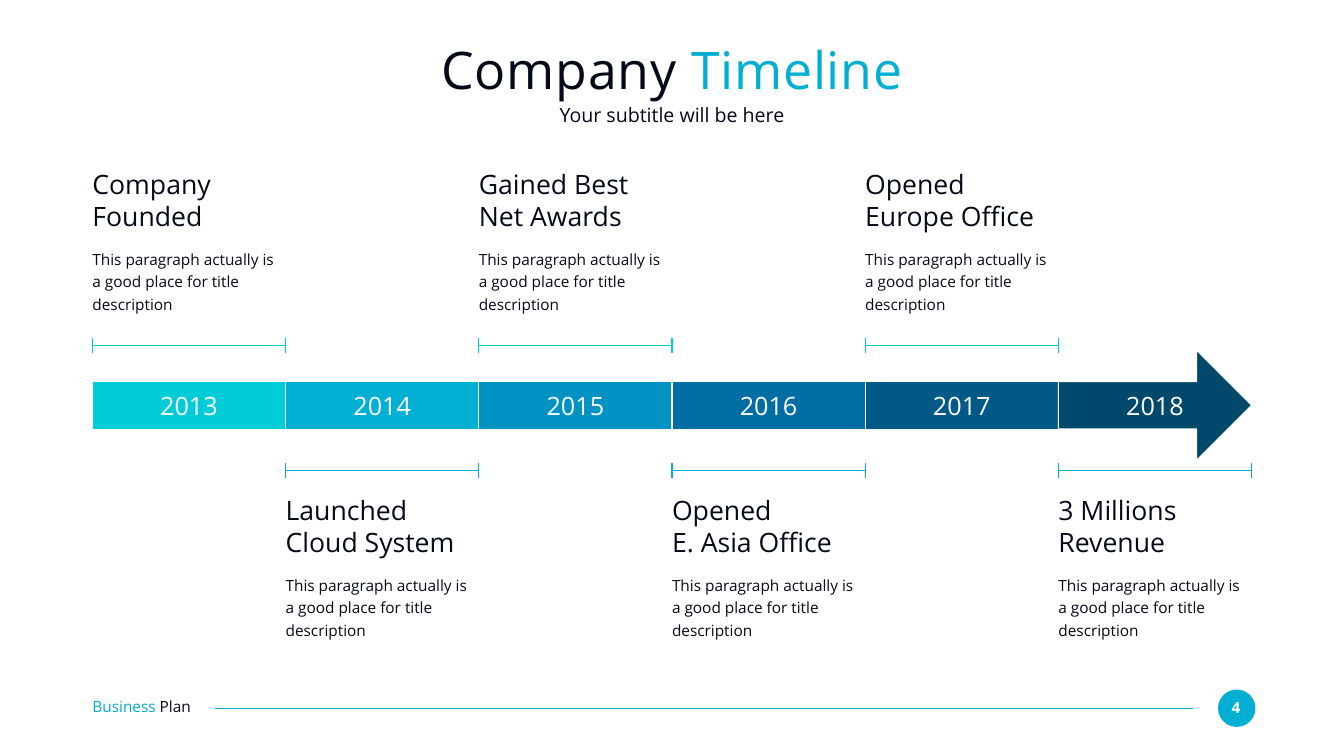
from dataclasses import dataclass

from lxml import etree
from pptx import Presentation
from pptx.dml.color import RGBColor
from pptx.enum import shapes, text
from pptx.oxml import ns
from pptx.util import Pt


@dataclass(frozen=True)
class Theme:
    font: str = "Open Sans"
    ink: str = "050A19"
    accent: str = "00AFD2"
    bright: str = "00CCD7"
    white: str = "FFFFFF"
    years: tuple = ("00CCD7", "00AFD2", "0092C3", "006DA4", "005986", "00486C")
    title: int = 74
    subtitle: int = 28
    heading: int = 38
    year: int = 36
    body: int = 22
    line: float = 1.5


theme = Theme()


def write(box, paragraphs, size, color=theme.ink, align=text.PP_ALIGN.LEFT,
          anchor=text.MSO_ANCHOR.TOP, spacing=None, bold=False):
    frame = box.text_frame
    frame.word_wrap = True
    frame.auto_size = text.MSO_AUTO_SIZE.NONE
    frame.vertical_anchor = anchor
    frame.margin_left = frame.margin_right = frame.margin_top = frame.margin_bottom = 0
    for index, spans in enumerate(paragraphs):
        para = frame.add_paragraph() if index else frame.paragraphs[0]
        para.alignment = align
        para.line_spacing = spacing
        para.font.name = theme.font
        para.font.size = Pt(size)
        para.font.bold = bold
        para.font.color.rgb = RGBColor.from_string(color)
        for words, span_color in spans:
            span = para.add_run()
            span.text = words
            if span_color != color:
                span.font.color.rgb = RGBColor.from_string(span_color)
    return frame


def draw_line(x1, y1, x2, y2, color):
    line = page.shapes.add_connector(
        shapes.MSO_CONNECTOR.STRAIGHT, Pt(x1), Pt(y1), Pt(x2), Pt(y2))
    line.line.color.rgb = RGBColor.from_string(color)
    line.line.width = Pt(theme.line)
    etree.SubElement(line._element.spPr, ns.qn("a:effectLst"))


deck = Presentation()
deck.slide_width, deck.slide_height = Pt(1920), Pt(1080)
page = deck.slides.add_slide(deck.slide_layouts[5])
center, middle = text.PP_ALIGN.CENTER, text.MSO_ANCHOR.MIDDLE
left, step = 132, 276

title = page.shapes.title
title.left, title.top, title.width, title.height = Pt(left), Pt(52.5), Pt(6 * step), Pt(91.5)
frame = write(title, [[("Company ", theme.ink), ("Timeline", theme.accent)]],
              theme.title, align=center, anchor=middle)
for span in frame.paragraphs[0].runs:
    span.font._element.set("spc", "100")

subtitle = page.shapes.add_textbox(Pt(left), Pt(146), Pt(6 * step), Pt(35.5))
write(subtitle, [[("Your subtitle will be here", theme.ink)]],
      theme.subtitle, align=center, anchor=middle)

milestones = [
    ("2013", ["Company Founded"]),
    ("2014", ["Launched Cloud System"]),
    ("2015", ["Gained Best", "Net Awards"]),
    ("2016", ["Opened", "E. Asia Office"]),
    ("2017", ["Opened", "Europe Office"]),
    ("2018", ["3 Millions", "Revenue"]),
]
description = "This paragraph actually is a good place for title description"

for index, (year, heading) in enumerate(milestones):
    x = left + index * step
    if index == len(milestones) - 1:
        band = page.shapes.add_shape(
            shapes.MSO_SHAPE.RIGHT_ARROW, Pt(x), Pt(500.5), Pt(step), Pt(157))
        band.adjustments[0] = 0.43
        band.adjustments[1] = 0.5
    else:
        band = page.shapes.add_shape(
            shapes.MSO_SHAPE.RECTANGLE, Pt(x), Pt(545.5), Pt(step), Pt(68))
    band.shadow.inherit = False
    band.fill.solid()
    band.fill.fore_color.rgb = RGBColor.from_string(theme.years[index])
    band.line.color.rgb = RGBColor.from_string(theme.white)
    band.line.width = Pt(theme.line)

    label = page.shapes.add_textbox(Pt(x + 73.5), Pt(557.5), Pt(129), Pt(44))
    write(label, [[(year, theme.white)]], theme.year, theme.white, center)

    above = index % 2 == 0
    bracket_y = 494 if above else 672.5
    heading_y = 240.5 if above else 706
    bracket_color = theme.bright if above else theme.accent
    draw_line(x, bracket_y, x + step, bracket_y, bracket_color)
    for end in (x, x + step):
        draw_line(end, bracket_y - 10.5, end, bracket_y + 10.5, bracket_color)

    box = page.shapes.add_textbox(Pt(x), Pt(heading_y), Pt(step), Pt(92))
    write(box, [[(words, theme.ink)] for words in heading], theme.heading)
    box = page.shapes.add_textbox(Pt(x), Pt(heading_y + 112), Pt(step), Pt(96))
    write(box, [[(description, theme.ink)]], theme.body, spacing=1.2)

footer = page.shapes.add_textbox(Pt(left), Pt(996.5), Pt(186.5), Pt(26.5))
write(footer, [[("Business ", theme.accent), ("Plan", theme.ink)]], theme.body)
draw_line(307.5, 1011.5, 1704, 1011.5, theme.accent)

badge = page.shapes.add_shape(shapes.MSO_SHAPE.OVAL, Pt(1740), Pt(985), Pt(53.5), Pt(53.5))
badge.shadow.inherit = False
badge.fill.solid()
badge.fill.fore_color.rgb = RGBColor.from_string(theme.accent)
badge.line.fill.background()
number = page.shapes.add_textbox(Pt(1744.5), Pt(997), Pt(42.5), Pt(26.5))
write(number, [[("4", theme.white)]], theme.body, theme.white, center, bold=True)

deck.save("out.pptx")
